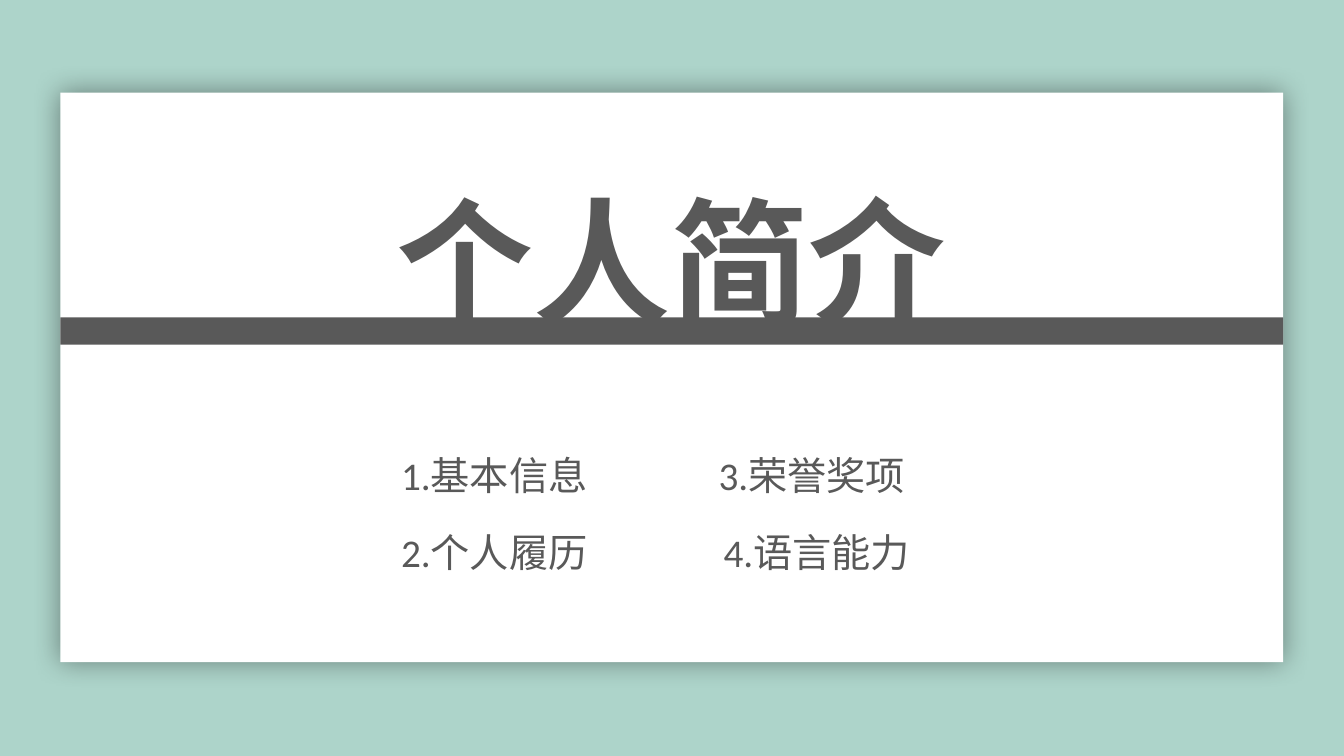
from dataclasses import dataclass

from lxml import etree
from pptx import Presentation
from pptx import util as u
from pptx.dml import color
from pptx.enum import shapes, text
from pptx.oxml import ns


@dataclass(frozen=True)
class Theme:
    mint: str = "ADD4CA"
    white: str = "FFFFFF"
    gray: str = "595959"
    black: str = "000000"
    font: str = "Calibri"
    title: float = 98
    item: float = 28


THEME = Theme()
LEFT, WIDTH = 43.2, 873.4
ITEMS = [
    ("1.基本信息", 279.4, 0),
    ("2.个人履历", 279.4, 1),
    ("3.荣誉奖项", 506.2, 0),
    ("4.语言能力", 509.8, 1),
]
ITEM_TOP, ITEM_STEP = 319, 54.7


def rgb(hue):
    return color.RGBColor.from_string(hue)


def paint(fill, hue):
    fill.solid()
    fill.fore_color.rgb = rgb(hue)


def apply(target, form):
    for name, value in form.items():
        setattr(target, name, value)


def node(base, tag, **attrs):
    return etree.SubElement(base, ns.qn(tag), attrs)


def add_rect(slide, box, hue):
    rect = slide.shapes.add_shape(shapes.MSO_SHAPE.RECTANGLE, *map(u.Pt, box))
    rect.shadow.inherit = False
    rect.line.fill.background()
    paint(rect.fill, hue)
    return rect


def add_glow(rect, blur, alpha):
    effects = rect._element.spPr.find(ns.qn("a:effectLst"))
    shade = node(effects, "a:outerShdw", blurRad=str(u.Pt(blur)), dist="0",
                 dir="0", algn="ctr", rotWithShape="0")
    hue = node(shade, "a:srgbClr", val=THEME.black)
    node(hue, "a:alpha", val=str(alpha * 1000))


def add_text(slide, box, words, size, frame={}, para={}, font={}):
    label = slide.shapes.add_textbox(*map(u.Pt, box)).text_frame
    apply(label, {"word_wrap": True,
                  "auto_size": text.MSO_AUTO_SIZE.SHAPE_TO_FIT_TEXT, **frame})
    line = label.paragraphs[0]
    apply(line, para)
    run = line.add_run()
    run.text = words
    apply(run.font, {"name": THEME.font, "size": u.Pt(size), **font})
    paint(run.font.fill, THEME.gray)
    node(run._r.rPr, "a:ea", typeface=THEME.font)
    return run


def add_edge(run, width):
    edge = etree.Element(ns.qn("a:ln"), w=str(u.Pt(width)))
    node(node(edge, "a:solidFill"), "a:srgbClr", val=THEME.gray)
    run._r.rPr.insert(0, edge)


def main():
    deck = Presentation()
    apply(deck, {"slide_width": u.Pt(960), "slide_height": u.Pt(540)})
    slide = deck.slides.add_slide(deck.slide_layouts[6])
    paint(slide.background.fill, THEME.mint)

    card = add_rect(slide, (LEFT, 66.2, WIDTH, 406.8), THEME.white)
    add_glow(card, 20, 40)
    add_rect(slide, (LEFT, 226.8, WIDTH, 19.4), THEME.gray)

    title = add_text(slide, (264.2, 122.4, 430.6, 126), "个人简介", THEME.title,
                     {"vertical_anchor": text.MSO_ANCHOR.MIDDLE},
                     {"alignment": text.PP_ALIGN.CENTER}, {"bold": True})
    add_edge(title, 0.75)

    for words, left, row in ITEMS:
        top = ITEM_TOP + row * ITEM_STEP
        add_text(slide, (left, top, 177.8, 41), words, THEME.item)

    deck.save("out.pptx")


if __name__ == "__main__":
    main()
